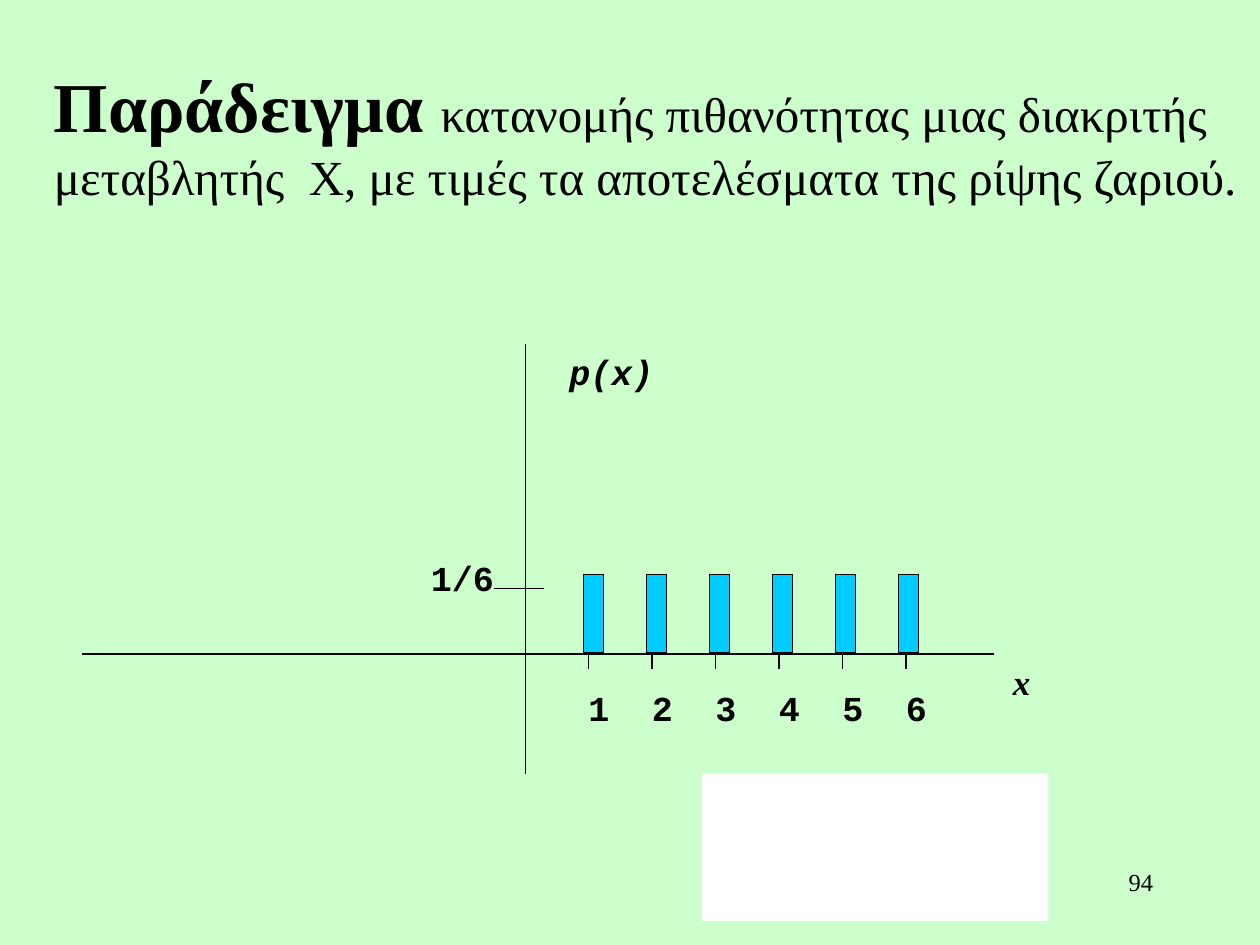
from lxml import etree
from pptx import Presentation
from pptx.dml.color import RGBColor
from pptx.enum import shapes, text
from pptx.oxml.ns import qn
from pptx.util import Inches, Pt

SERIF, MONO = "Times New Roman", "Courier New"
BLACK, BAR_BLUE, WHITE, PALE_GREEN = "000000", "00CCFF", "FFFFFF", "CCFFCC"


def color(value):
    return RGBColor.from_string(value)


def add_text(s, left, top, width, height, runs, inset=True,
             align=text.PP_ALIGN.LEFT):
    """Each run is (text, size, font, bold, italic)."""
    tf = s.shapes.add_textbox(Inches(left), Inches(top),
                              Inches(width), Inches(height)).text_frame
    tf.word_wrap = True
    if not inset:
        tf.margin_left = tf.margin_right = tf.margin_top = tf.margin_bottom = 0
    p = tf.paragraphs[0]
    p.alignment = align
    for content, size, font, bold, italic in runs:
        r = p.add_run()
        r.text = content
        r.font.size, r.font.name = Pt(size), font
        r.font.bold, r.font.italic = bold, italic
        r.font.color.rgb = color(BLACK)


def add_line(s, x1, y1, x2, y2):
    line = s.shapes.add_connector(shapes.MSO_CONNECTOR.STRAIGHT, Inches(x1),
                                  Inches(y1), Inches(x2), Inches(y2))
    line.line.color.rgb = color(BLACK)
    line.line.width = Pt(0.75)
    etree.SubElement(line._element.spPr, qn("a:effectLst"))


def add_rect(s, left, top, width, height, fill, outline=None):
    sp = s.shapes.add_shape(shapes.MSO_SHAPE.RECTANGLE, Inches(left),
                            Inches(top), Inches(width), Inches(height))
    sp.shadow.inherit = False
    sp.fill.solid()
    sp.fill.fore_color.rgb = color(fill)
    if outline:
        sp.line.color.rgb = color(outline)
        sp.line.width = Pt(0.75)
    else:
        sp.line.fill.background()


def add_title(s, left, top, width, height):
    add_text(s, left, top, width, height, [
        ("Παράδειγμα ", 40, SERIF, True, False),
        ("κατανομής πιθανότητας μιας διακριτής μεταβλητής  Χ, "
         "με τιμές τα αποτελέσματα της ρίψης ζαριού.", 28, SERIF, False, False),
    ])


def add_distribution(s, left, top, width, height):
    """Axes, bars and labels for the six outcomes of a die."""
    origin_x, origin_y = left + 3.52, top + 2.46
    axis_bottom = top + 3.41
    first_tick, tick_step = origin_x + 0.5, 2.52 / 5
    first_bar, bar_step = origin_x + 0.46, 0.5

    for i in range(6):
        x = first_tick + i * tick_step
        add_line(s, x, origin_y - 0.26, x, origin_y + 0.12)
        add_text(s, x, origin_y + 0.26, 0.22, 0.31,
                 [(str(i + 1), 20, MONO, True, False)], inset=False)

    add_line(s, origin_x, top, origin_x, axis_bottom)
    add_line(s, left, origin_y, left + 7.24, origin_y)
    add_text(s, left + 7.29, origin_y, 0.71, 0.62,
             [("x", 20, SERIF, True, True)])
    add_text(s, origin_x + 0.25, top, 1.19, 0.62,
             [("p(x)", 20, MONO, True, True)])

    probability_y = top + 1.94
    add_line(s, origin_x - 0.25, probability_y, origin_x + 0.15, probability_y)
    add_text(s, origin_x - 0.75, probability_y - 0.25, 0.52, 0.31,
             [("1/6", 20, MONO, True, False)], inset=False)

    for i in range(6):
        add_rect(s, first_bar + i * bar_step, origin_y - 0.63, 0.16, 0.62,
                 BAR_BLUE, BLACK)
    add_rect(s, left + 4.92, axis_bottom, 2.75, top + height - axis_bottom, WHITE)


def add_page_number(s, left, top, width, height):
    add_text(s, left, top, width, height, [("94", 14, SERIF, False, False)],
             align=text.PP_ALIGN.RIGHT)


def main():
    prs = Presentation()
    prs.slide_width, prs.slide_height = Inches(10), Inches(7.5)
    s = prs.slides.add_slide(prs.slide_layouts[6])
    s.background.fill.solid()
    s.background.fill.fore_color.rgb = color(PALE_GREEN)
    add_title(s, 0.33, 0.45, 9.7, 1.2)
    add_distribution(s, 0.65, 2.73, 8, 4.58)
    add_page_number(s, 7.17, 6.83, 2.08, 0.5)
    prs.save("out.pptx")


if __name__ == "__main__":
    main()
